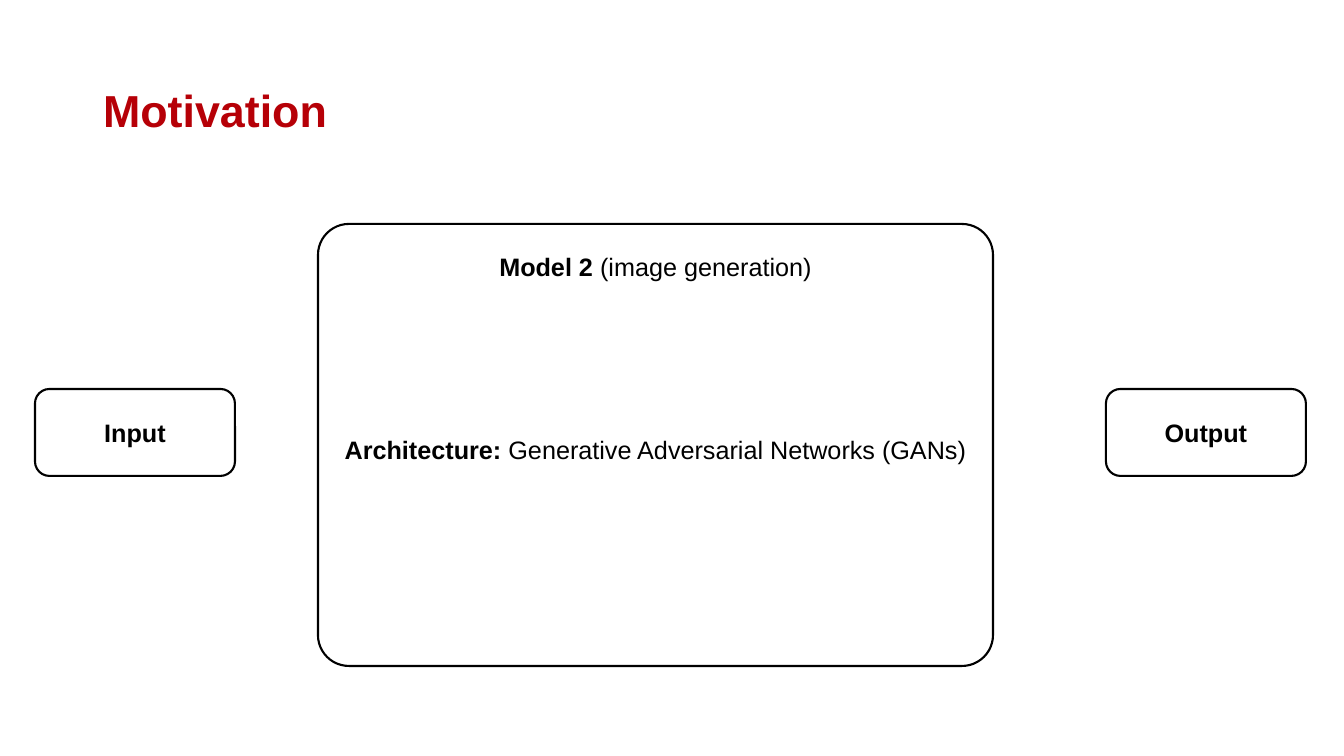
"""Build the Motivation slide: an input, a model and an output box."""
from pptx import Presentation
from pptx.dml.color import RGBColor
from pptx.enum.shapes import MSO_SHAPE
from pptx.enum.text import MSO_ANCHOR, PP_ALIGN
from pptx.util import Inches, Pt

TITLE = "Motivation"
MODEL = [
    [("Model 2 ", True), ("(image generation)", False)],
    [("Architecture: ", True), ("Generative Adversarial Networks (GANs)", False)],
]
ENDS = [("Input", 35), ("Output", 1106)]
COLORS = {"red": "B60007", "black": "000000", "white": "FFFFFF"}
SCALE = Inches(1) / 100.8


def px(n):
    return round(n * SCALE)


def color(name):
    return RGBColor.from_string(COLORS[name])


def write(frame, lines, size=18, tone="black", align=PP_ALIGN.CENTER,
          anchor=MSO_ANCHOR.MIDDLE, gap=0, spacing=1.0):
    frame.word_wrap = True
    frame.vertical_anchor = anchor
    for i, line in enumerate(lines):
        para = frame.add_paragraph() if i else frame.paragraphs[0]
        para.alignment = align
        para.line_spacing = spacing
        if i:
            para.space_before = Pt(gap)
        for text, bold in line:
            run = para.add_run()
            run.text = text
            font = run.font
            font.name, font.size, font.bold = "Arial", Pt(size), bold
            font.color.rgb = color(tone)


def add_box(slide, left, top, width, height):
    box = slide.shapes.add_shape(MSO_SHAPE.ROUNDED_RECTANGLE,
                                 *map(px, (left, top, width, height)))
    box.shadow.inherit = False
    box.fill.solid()
    box.fill.fore_color.rgb = color("white")
    box.line.color.rgb = color("black")
    box.line.width = Pt(1.5)
    return box


def main():
    deck = Presentation()
    deck.slide_width, deck.slide_height = px(1344), px(756)
    slide = deck.slides.add_slide(deck.slide_layouts[5])

    title = slide.shapes.title
    title.left, title.top, title.width, title.height = map(px, (93, 40, 928, 146))
    write(title.text_frame, [[(TITLE, True)]], size=32, tone="red",
          align=PP_ALIGN.LEFT, spacing=0.9)

    model = add_box(slide, 318, 224, 675, 442)
    model.adjustments[0] = 0.07
    model.text_frame.margin_top = px(18)
    write(model.text_frame, MODEL, anchor=MSO_ANCHOR.TOP, gap=109)

    for name, left in ENDS:
        box = add_box(slide, left, 389, 200, 87)
        write(box.text_frame, [[(name, True)]])

    deck.save("out.pptx")


if __name__ == "__main__":
    main()
